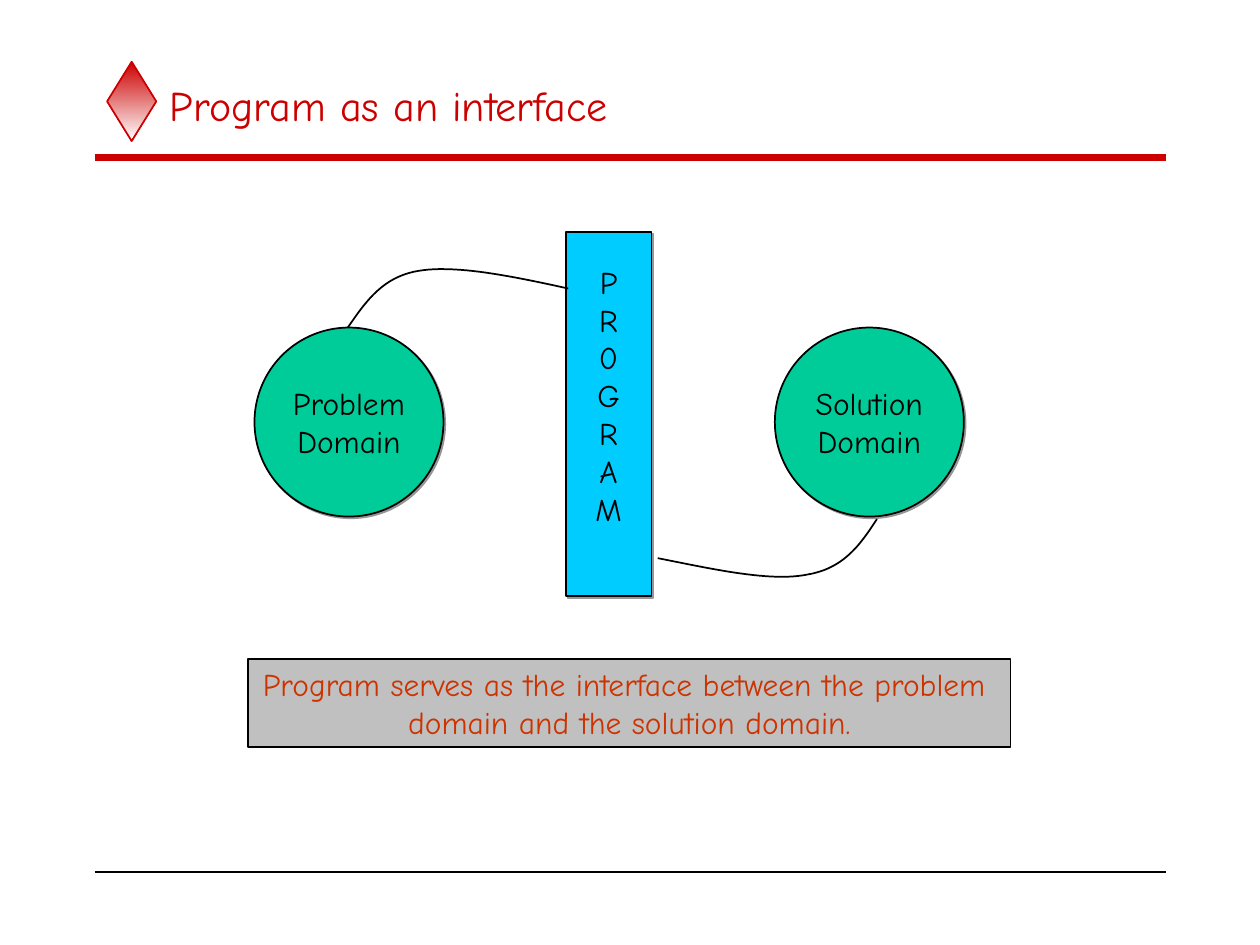
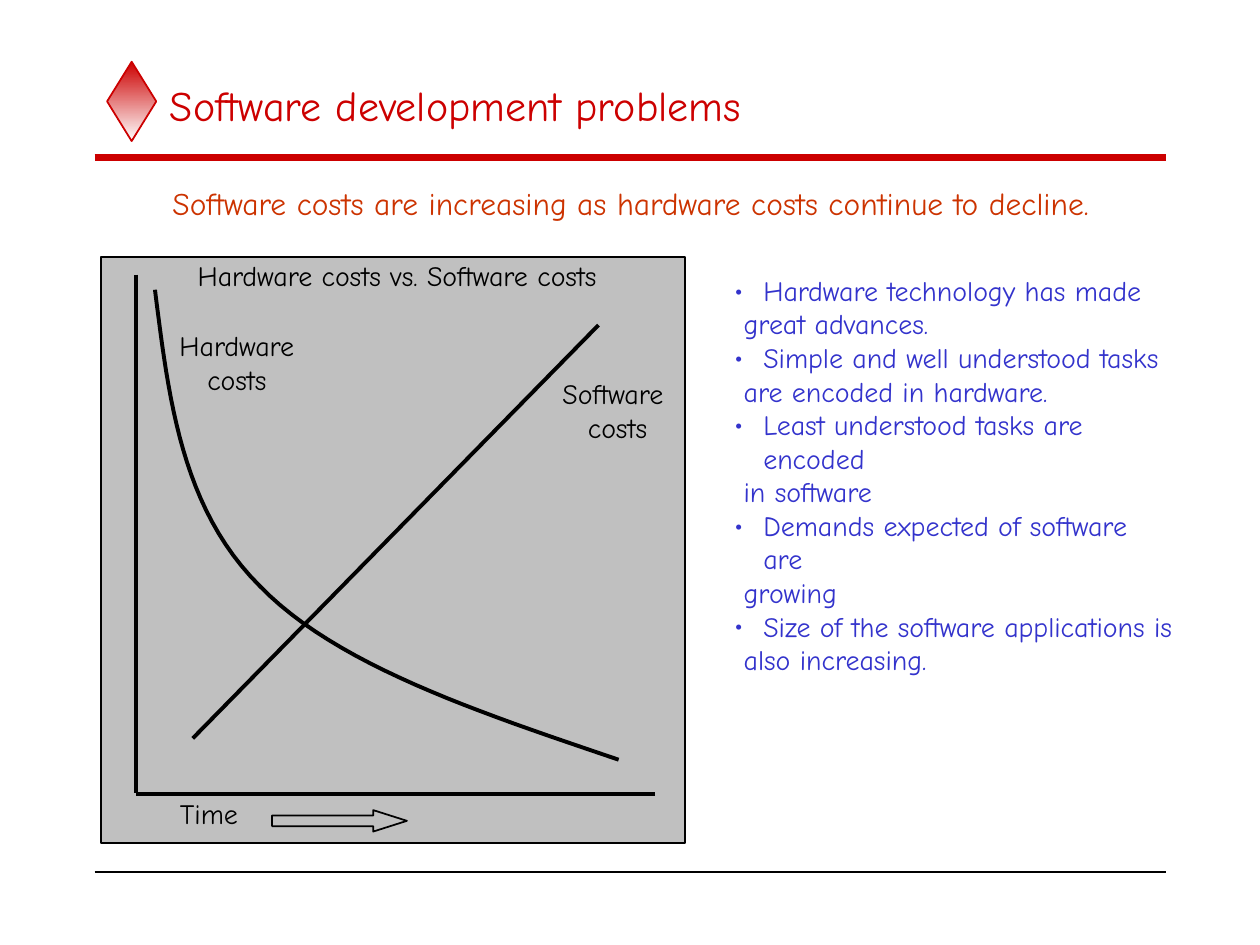
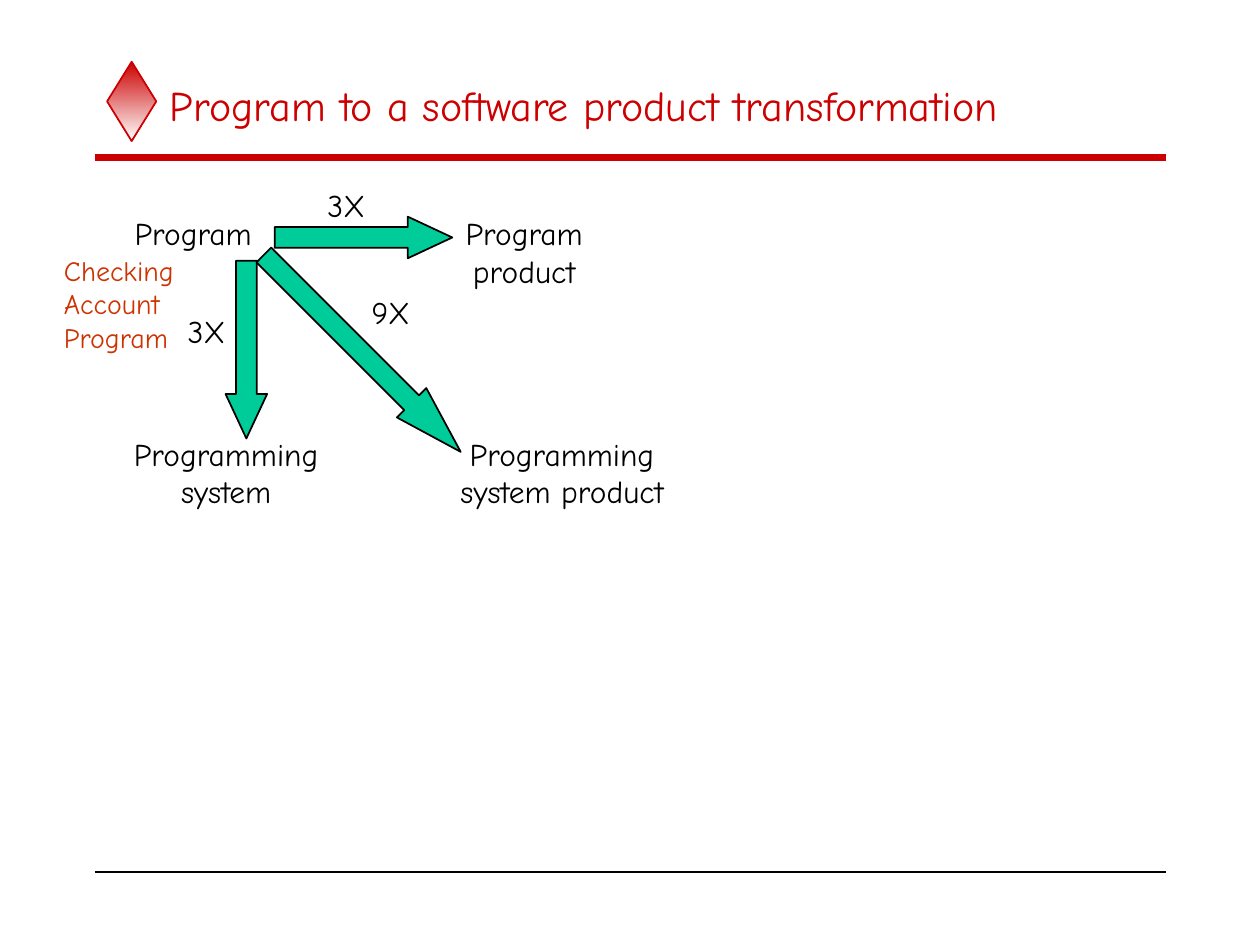
from dataclasses import dataclass

from lxml import etree
from pptx import Presentation
from pptx.dml.color import RGBColor
from pptx.enum.shapes import MSO_CONNECTOR, MSO_SHAPE
from pptx.enum.text import MSO_ANCHOR, MSO_AUTO_SIZE, PP_ALIGN
from pptx.oxml.ns import qn
from pptx.util import Inches, Pt

STRAIGHT = MSO_CONNECTOR.STRAIGHT
DIAMOND, OVAL = MSO_SHAPE.DIAMOND, MSO_SHAPE.OVAL
RECTANGLE, RIGHT_ARROW = MSO_SHAPE.RECTANGLE, MSO_SHAPE.RIGHT_ARROW
MIDDLE, TOP = MSO_ANCHOR.MIDDLE, MSO_ANCHOR.TOP
LEFT, CENTER = PP_ALIGN.LEFT, PP_ALIGN.CENTER
FIT_TEXT = MSO_AUTO_SIZE.SHAPE_TO_FIT_TEXT


@dataclass(frozen=True)
class Theme:
    font: str = "Comic Neue"
    red: str = "CC0000"
    rust: str = "CC3300"
    blue: str = "3333CC"
    green: str = "00CC99"
    cyan: str = "00CCFF"
    gray: str = "C0C0C0"
    shadow: str = "969696"
    black: str = "000000"
    white: str = "FFFFFF"
    title: int = 24
    body: int = 18
    small: int = 16
    thin: float = 1
    medium: float = 2.25
    thick: float = 4


theme = Theme()


def write(shape, lines, size, color=theme.black, align=LEFT, anchor=TOP):
    """Put one paragraph per line into the shape, without wrapping."""
    frame = shape.text_frame
    frame.word_wrap = False
    frame.vertical_anchor = anchor
    for index, line in enumerate(lines):
        para = frame.paragraphs[0] if index == 0 else frame.add_paragraph()
        para.alignment = align
        span = para.add_run()
        span.text = line
        span.font.name = theme.font
        span.font.size = Pt(size)
        span.font.color.rgb = RGBColor.from_string(color)
    return frame


def paint(shape, fill=None, line=theme.black, width=theme.thin):
    """Set a flat fill (or none) and an outline, and drop the shadow."""
    if fill:
        shape.fill.solid()
        shape.fill.fore_color.rgb = RGBColor.from_string(fill)
    else:
        shape.fill.background()
    shape.line.color.rgb = RGBColor.from_string(line)
    shape.line.width = Pt(width)
    shape.shadow.inherit = False


deck = Presentation()
deck.slide_width, deck.slide_height = Inches(10), Inches(7.5)
strokes = []

# Shared title, diamond and rules
pages = []
for title in (
    "Program as an interface",
    "Software development problems",
    "Program to a software product transformation",
):
    page = deck.slides.add_slide(deck.slide_layouts[6])
    pages.append(page)
    diamond = page.shapes.add_shape(DIAMOND, *map(Inches, (0.85, 0.49, 0.39, 0.63)))
    paint(diamond, line=theme.red)
    diamond.fill.gradient()
    diamond.fill.gradient_angle = 270
    for stop, color in zip(diamond.fill.gradient_stops, (theme.red, theme.white)):
        stop.color.rgb = RGBColor.from_string(color)
    heading = page.shapes.add_textbox(*map(Inches, (1.25, 0.5, 8, 0.67)))
    write(heading, [title], theme.title, theme.red, anchor=MIDDLE).word_wrap = True
    strokes += [
        (page, (0.75, 1.25, 9.25, 1.25), theme.red, theme.thick),
        (page, (0.75, 6.92, 9.25, 6.92), theme.black, theme.thin),
    ]
interface, problems, transformation = pages

# Program as an interface
for kind, at, fill, lines in (
    (OVAL, (2.02, 2.6, 1.5, 1.5), theme.green, ["Problem", "Domain"]),
    (OVAL, (6.15, 2.6, 1.5, 1.5), theme.green, ["Solution", "Domain"]),
    (RECTANGLE, (4.49, 1.84, 0.68, 2.89), theme.cyan, "PR0GRAM"),
):
    block = interface.shapes.add_shape(kind, *map(Inches, at))
    paint(block, fill)
    effects = block.element.spPr.find(qn("a:effectLst"))
    shadow = etree.SubElement(
        effects, qn("a:outerShdw"), dist=str(Pt(1.4)), dir="2700000", algn="ctr", rotWithShape="0"
    )
    etree.SubElement(shadow, qn("a:srgbClr"), val=theme.shadow)
    frame = write(block, lines, theme.body, align=CENTER, anchor=MIDDLE)
    if kind == RECTANGLE:
        frame.margin_bottom = Inches(0.35)

caption = interface.shapes.add_shape(RECTANGLE, *map(Inches, (1.97, 5.23, 6.05, 0.7)))
paint(caption, theme.gray)
write(
    caption,
    ["Program serves as the interface between the problem ", "domain and the solution domain."],
    theme.body, theme.rust, CENTER,
)

# Software development problems
panel = problems.shapes.add_shape(RECTANGLE, *map(Inches, (0.8, 2.04, 4.64, 4.65)))
paint(panel, theme.gray)
strokes += [
    (problems, ends, theme.black, theme.medium)
    for ends in ((1.08, 2.18, 1.08, 6.29), (5.2, 6.3, 1.08, 6.3), (1.53, 5.86, 4.75, 2.58))
]
reasons = problems.shapes.add_textbox(*map(Inches, (5.73, 2.12, 3.69, 2.77)))
frame = write(
    reasons,
    [
        "Hardware technology has made", " great advances.",
        "Simple and well understood tasks", " are encoded in hardware.",
        "Least understood tasks are encoded", " in software",
        "Demands expected of software are", " growing",
        "Size of the software applications is", " also increasing.",
    ],
    theme.small, theme.blue,
)
frame.word_wrap = True
for para in frame.paragraphs[::2]:
    properties = para._p.get_or_add_pPr()
    properties.set("marL", str(Inches(0.23)))
    properties.set("indent", str(-Inches(0.23)))
    etree.SubElement(properties, qn("a:buFont"), typeface=theme.font)
    etree.SubElement(properties, qn("a:buChar"), char="•")

# Arrows on the last two pages
for page, at, turn, head, fill in (
    (problems, (2.16, 6.43, 1.07, 0.17), 0, 1.57, None),
    (transformation, (2.18, 1.72, 1.41, 0.33), 0, 1.07, theme.green),
    (transformation, (1.25, 2.61, 1.41, 0.33), 90, 1.07, theme.green),
    (transformation, (1.77, 2.64, 2.21, 0.33), 45, 1.67, theme.green),
):
    arrow = page.shapes.add_shape(RIGHT_ARROW, *map(Inches, at))
    arrow.adjustments[1] = head
    arrow.rotation = turn
    paint(arrow, fill)

# Labels
for page, at, lines, size, color, align in (
    (problems, (1.27, 1.41, 7.52, 0.4),
     ["Software costs are increasing as hardware costs continue to decline."],
     theme.body, theme.rust, LEFT),
    (problems, (4.36, 2.94, 1.01, 0.64), ["Software", " costs"], theme.small, theme.black, CENTER),
    (problems, (1.32, 2.56, 1.12, 0.64), ["Hardware", "costs"], theme.small, theme.black, CENTER),
    (problems, (1.33, 6.27, 0.66, 0.37), ["Time"], theme.small, theme.black, LEFT),
    (problems, (1.47, 2, 3.39, 0.37), ["Hardware costs vs. Software costs"],
     theme.small, theme.black, LEFT),
    (transformation, (0.97, 1.65, 1.14, 0.4), ["Program"], theme.body, theme.black, LEFT),
    (transformation, (3.59, 1.65, 1.14, 0.7), ["Program", "product"],
     theme.body, theme.black, CENTER),
    (transformation, (0.96, 3.4, 1.67, 0.7), ["Programming", "system"],
     theme.body, theme.black, CENTER),
    (transformation, (3.55, 3.4, 1.82, 0.7), ["Programming", "system product"],
     theme.body, theme.black, CENTER),
    (transformation, (2.5, 1.43, 0.55, 0.4), ["3X"], theme.body, theme.black, LEFT),
    (transformation, (1.39, 2.43, 0.55, 0.4), ["3X"], theme.body, theme.black, LEFT),
    (transformation, (2.85, 2.28, 0.55, 0.4), ["9X"], theme.body, theme.black, LEFT),
    (transformation, (0.41, 1.96, 1.14, 0.9), ["Checking", "Account", "Program"],
     theme.small, theme.rust, LEFT),
):
    label = page.shapes.add_textbox(*map(Inches, at))
    write(label, lines, size, color, align).auto_size = FIT_TEXT

# Straight lines
for page, ends, color, width in strokes:
    stroke = page.shapes.add_connector(STRAIGHT, *map(Inches, ends))
    stroke.line.color.rgb = RGBColor.from_string(color)
    stroke.line.width = Pt(width)
    etree.SubElement(stroke.element.spPr, qn("a:effectLst"))

# Curves: each is a chain of cubic segments that share their end points
STEPS = 24
for page, width, knots in (
    (interface, theme.thin,
     [(2.76, 2.6), (2.9, 2.4), (3.03, 2.2), (3.32, 2.15), (3.61, 2.1), (4.06, 2.19), (4.51, 2.29)]),
    (interface, theme.thin,
     [(6.96, 4.12), (6.83, 4.32), (6.7, 4.51), (6.41, 4.56), (6.12, 4.62), (5.67, 4.52), (5.22, 4.43)]),
    (problems, theme.medium,
     [(1.23, 2.3), (1.34, 3.17), (1.44, 4.03), (2.06, 4.65), (2.67, 5.28), (3.79, 5.65), (4.91, 6.03)]),
):
    points = []
    for first in range(0, len(knots) - 1, 3):
        for step in range(1, STEPS + 1):
            t = step / STEPS
            weights = ((1 - t) ** 3, 3 * t * (1 - t) ** 2, 3 * t * t * (1 - t), t ** 3)
            segment = zip(*knots[first:first + 4])
            points.append([Inches(sum(w * v for w, v in zip(weights, axis))) for axis in segment])
    builder = page.shapes.build_freeform(*map(Inches, knots[0]))
    builder.add_line_segments(points, close=False)
    paint(builder.convert_to_shape(), width=width)

deck.save("out.pptx")
